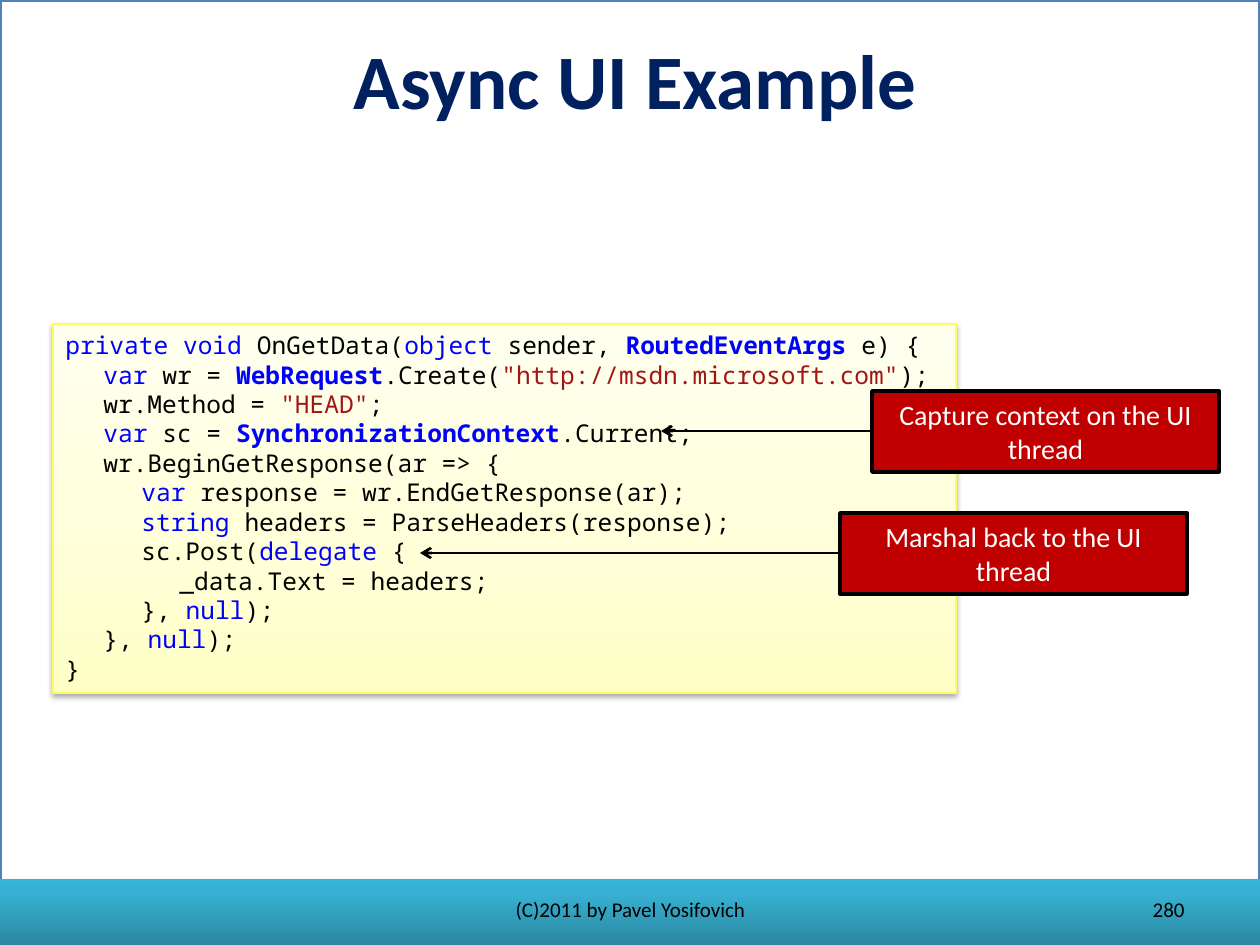
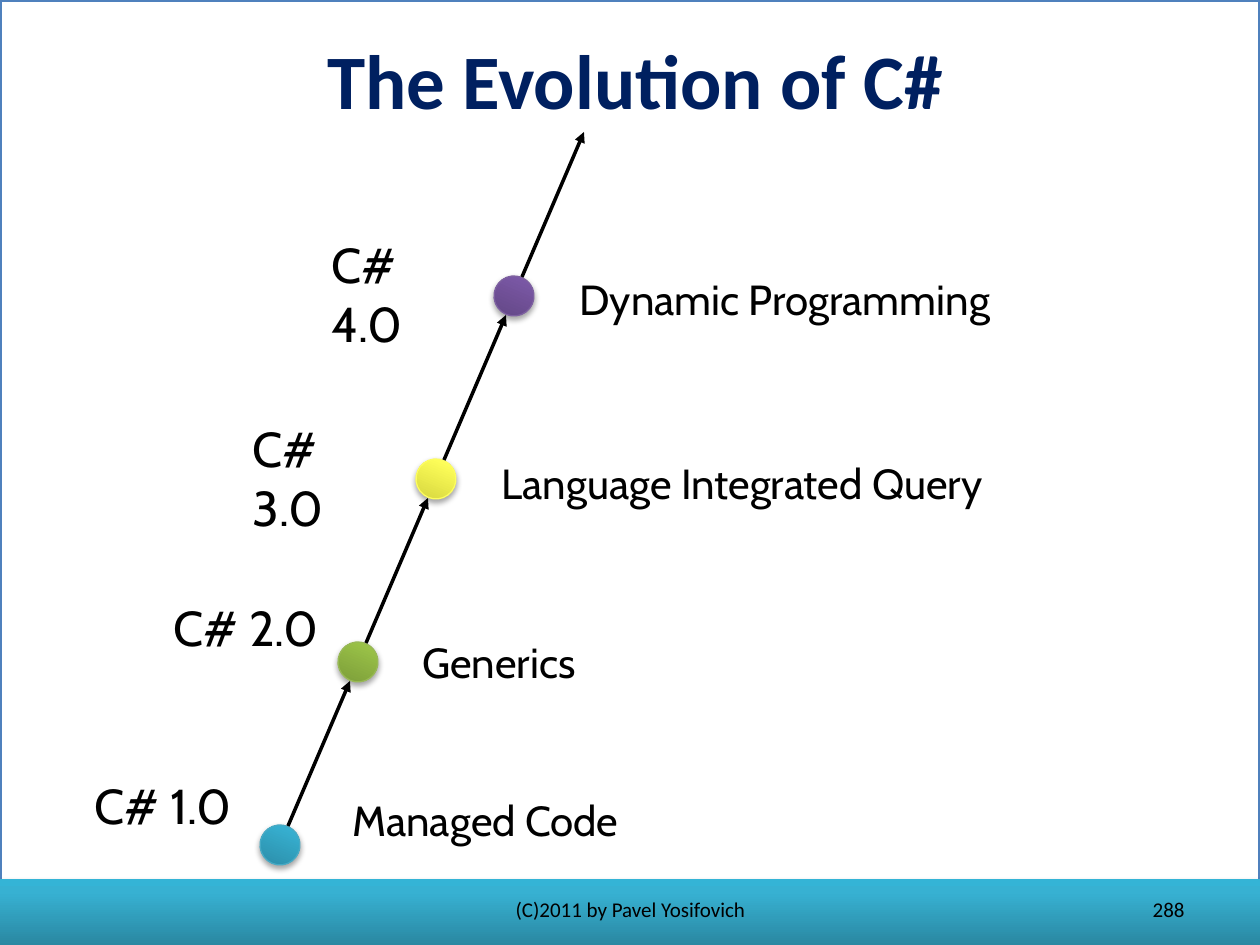
"""Builds two slides on C#: an asynchronous UI example and the language's evolution."""
from dataclasses import dataclass

from lxml.etree import SubElement
from pptx import Presentation
from pptx.dml.color import RGBColor as RGB
from pptx.enum.shapes import MSO_CONNECTOR as CONN, MSO_SHAPE as SHAPE
from pptx.enum.text import MSO_ANCHOR as ANCHOR, PP_ALIGN as ALIGN
from pptx.oxml import parse_xml
from pptx.oxml.ns import nsdecls, qn
from pptx.util import Inches, Pt

FOOTER = "(C)2011 by Pavel Yosifovich"

CODE_TITLE, CODE_NUMBER = "Async UI Example", "280"
CODE_BOX = (53, 324, 903, 369)
TYPES = {"RoutedEventArgs", "WebRequest", "SynchronizationContext"}
# each line: depth, then text in which | sets off the coloured words
CODE = [
    (0, "|private void| OnGetData(|object| sender, |RoutedEventArgs| e) {"),
    (1, '|var| wr = |WebRequest|.Create(|"http://msdn.microsoft.com"|);'),
    (1, 'wr.Method = |"HEAD"|;'),
    (1, "|var| sc = |SynchronizationContext|.Current;"),
    (1, "wr.BeginGetResponse(ar => {"),
    (2, "|var| response = wr.EndGetResponse(ar);"),
    (2, "|string| headers = ParseHeaders(response);"),
    (2, "sc.Post(|delegate| {"),
    (3, "_data.Text = headers;"),
    (2, "}, |null|);"),
    (1, "}, |null|);"),
    (0, "}"),
]
CALLOUT_SIZE = (347, 81)
CALLOUTS = [
    ("Capture context on the UI thread", 872, 391, 661),
    ("Marshal back to the UI thread", 840, 513, 420),
]

EVOLUTION_TITLE, EVOLUTION_NUMBER = "The Evolution of C#", "288"
VERSIONS = [
    ("C# 1.0", 769, "Managed Code", (340, 788, 725, 64), "teal"),
    ("C# 2.0", 591, "Generics", (410, 630, 675, 64), "green"),
    ("C# 3.0", 412, "Language Integrated Query", (489, 451, 635, 63), "yellow"),
    ("C# 4.0", 228, "Dynamic Programming", (567, 267, 567, 63), "purple"),
]
FIRST_DOT, DOT_STEP, DOT_SIZE = (280, 845), (78, -183), 40
ARROW_GAP = (8, -19)
LABEL_LEFT, LABEL_STEP, LABEL_SIZE = 82, 79, (171, 72)


@dataclass(frozen=True)
class Theme:
    white: str = "FFFFFF"
    black: str = "000000"
    frame: str = "4F81BD"
    callout: str = "C00000"
    keyword: str = "0000FF"
    string: str = "A31515"
    code_edge: str = "FDFD5F"
    title: tuple = ("Calibri", 44, "002060", True)
    footer: tuple = ("Calibri", 12, "000000", False)
    note: tuple = ("Calibri", 16, "FFFFFF", False)
    version: tuple = ("Cabin", 28, "000000", False)
    feature: tuple = ("Cabin", 24, "000000", False)
    code_font: str = "Noto Sans Mono"
    code_size: int = 14
    code_leading: float = 16.8


T = Theme()
GRADIENTS = {
    "teal": [(0, "2A88A2"), (80, "37B1D2"), (100, "34B4D6")],
    "green": [(0, "779737"), (80, "9BC348"), (100, "9DC746")],
    "yellow": [(0, "D0D03A"), (80, "FFFF5A"), (100, "FFFF5C")],
    "purple": [(0, "5F4480"), (80, "7B58A6"), (100, "7C57A8")],
    "cream": [(0, "FFFFC6"), (35, "FFFFD7"), (100, "FFFFF0")],
}
DOT_EDGES = {"teal": "46AAC5", "green": "98B955", "yellow": "FDFD5F", "purple": "7D60A0"}
SCALE = Inches(10) / 1260


def px(n):
    return round(n * SCALE)


def place(sp, box):
    sp.left, sp.top, sp.width, sp.height = map(px, box)


def style_run(r, font, size, color, bold):
    r.font.name, r.font.size, r.font.bold = font, Pt(size), bold
    r.font.color.rgb = RGB.from_string(color)


def write(sp, text, style, align=ALIGN.LEFT, anchor=ANCHOR.TOP):
    tf = sp.text_frame
    tf.text, tf.word_wrap, tf.vertical_anchor = text, True, anchor
    p = tf.paragraphs[0]
    p.alignment = align
    style_run(p.runs[0], *style)


def add_text(slide, box, *args):
    write(slide.shapes.add_textbox(*map(px, box)), *args)


def add_box(slide, kind, box, fill, edge=None, width=0.75):
    sp = slide.shapes.add_shape(kind, *map(px, box))
    sp.shadow.inherit = False
    if edge:
        sp.line.color.rgb, sp.line.width = RGB.from_string(edge), Pt(width)
    else:
        sp.line.fill.background()
    if fill in GRADIENTS:
        paint_gradient(sp, GRADIENTS[fill])
    else:
        sp.fill.solid()
        sp.fill.fore_color.rgb = RGB.from_string(fill)
    return sp


def paint_gradient(sp, stops):
    sp.fill.background()
    spPr = sp.element.spPr
    gs = "".join(f'<a:gs pos="{pos * 1000}"><a:srgbClr val="{color}"/></a:gs>'
                 for pos, color in stops)
    spPr.replace(spPr.find(qn("a:noFill")), parse_xml(
        f'<a:gradFill {nsdecls("a")} rotWithShape="1"><a:gsLst>{gs}</a:gsLst>'
        '<a:lin ang="16200000" scaled="0"/></a:gradFill>'))
    spPr.find(qn("a:effectLst")).append(parse_xml(
        f'<a:outerShdw {nsdecls("a")} blurRad="40000" dist="23000" dir="5400000" '
        f'rotWithShape="0"><a:srgbClr val="{T.black}"><a:alpha val="35000"/>'
        '</a:srgbClr></a:outerShdw>'))


def add_arrow(slide, start, end, width, head):
    c = slide.shapes.add_connector(CONN.STRAIGHT, *map(px, start + end))
    c.line.color.rgb, c.line.width = RGB.from_string(T.black), Pt(width)
    spPr = c.element.spPr
    SubElement(spPr.find(qn("a:ln")), qn("a:tailEnd"), type=head)
    SubElement(spPr, qn("a:effectLst"))


def decorate_layout(layout, slide):
    frame = add_box(slide, SHAPE.RECTANGLE, (0, 0, 1260, 945), T.white, T.frame, 2)
    band = add_box(slide, SHAPE.RECTANGLE, (0, 879, 1260, 66), "teal")
    for i, sp in enumerate((frame, band)):
        layout.shapes.element.insert(2 + i, sp.element)


def add_slide(prs, layout, title, number):
    slide = prs.slides.add_slide(layout)
    place(slide.shapes.title, (25, 21, 1221, 115))
    write(slide.shapes.title, title, T.title, ALIGN.CENTER, ANCHOR.MIDDLE)
    add_text(slide, (431, 892, 399, 34), FOOTER, T.footer, ALIGN.CENTER, ANCHOR.MIDDLE)
    add_text(slide, (903, 892, 294, 34), number, T.footer, ALIGN.RIGHT, ANCHOR.MIDDLE)
    return slide


def code_style(word, marked):
    color = T.black
    if marked:
        color = T.string if word.startswith('"') else T.keyword
    return T.code_font, T.code_size, color, word in TYPES


def draw_code(slide):
    sp = add_box(slide, SHAPE.RECTANGLE, CODE_BOX, "cream", T.code_edge)
    tf = sp.text_frame
    tf.word_wrap, tf.vertical_anchor = True, ANCHOR.TOP
    for i, (depth, line) in enumerate(CODE):
        p = tf.add_paragraph() if i else tf.paragraphs[0]
        p.alignment, p.line_spacing = ALIGN.LEFT, Pt(T.code_leading)
        p._p.get_or_add_pPr().set("marL", str(px(38 * depth)))
        for j, word in enumerate(line.split("|")):
            if word:
                r = p.add_run()
                r.text = word
                style_run(r, *code_style(word, j % 2))


def draw_callouts(slide):
    w, h = CALLOUT_SIZE
    for text, left, top, target in CALLOUTS:
        sp = add_box(slide, SHAPE.RECTANGLE, (left, top, w, h), T.callout, T.black, 2)
        write(sp, text, T.note, ALIGN.CENTER, ANCHOR.MIDDLE)
        y = top + h // 2
        add_arrow(slide, (left, y), (target, y), 1.5, "arrow")


def draw_evolution(slide):
    (x0, y0), (dx, dy), (gx, gy) = FIRST_DOT, DOT_STEP, ARROW_GAP
    for i, (version, top, feature, box, color) in enumerate(VERSIONS):
        x, y = x0 + i * dx, y0 + i * dy
        dot = (x - DOT_SIZE // 2, y - DOT_SIZE // 2, DOT_SIZE, DOT_SIZE)
        sp = add_box(slide, SHAPE.OVAL, dot, color, DOT_EDGES[color])
        sp.rotation = 23.2
        add_arrow(slide, (x + gx, y + gy), (x + dx - gx, y + dy - gy), 2, "triangle")
        add_text(slide, (LABEL_LEFT + i * LABEL_STEP, top, *LABEL_SIZE), version, T.version)
        add_text(slide, box, feature, T.feature)


def main():
    prs = Presentation()
    prs.slide_width, prs.slide_height = Inches(10), Inches(7.5)
    layout = prs.slide_layouts[5]
    slide = add_slide(prs, layout, CODE_TITLE, CODE_NUMBER)
    decorate_layout(layout, slide)
    draw_code(slide)
    draw_callouts(slide)
    draw_evolution(add_slide(prs, layout, EVOLUTION_TITLE, EVOLUTION_NUMBER))
    prs.save("out.pptx")


if __name__ == "__main__":
    main()
